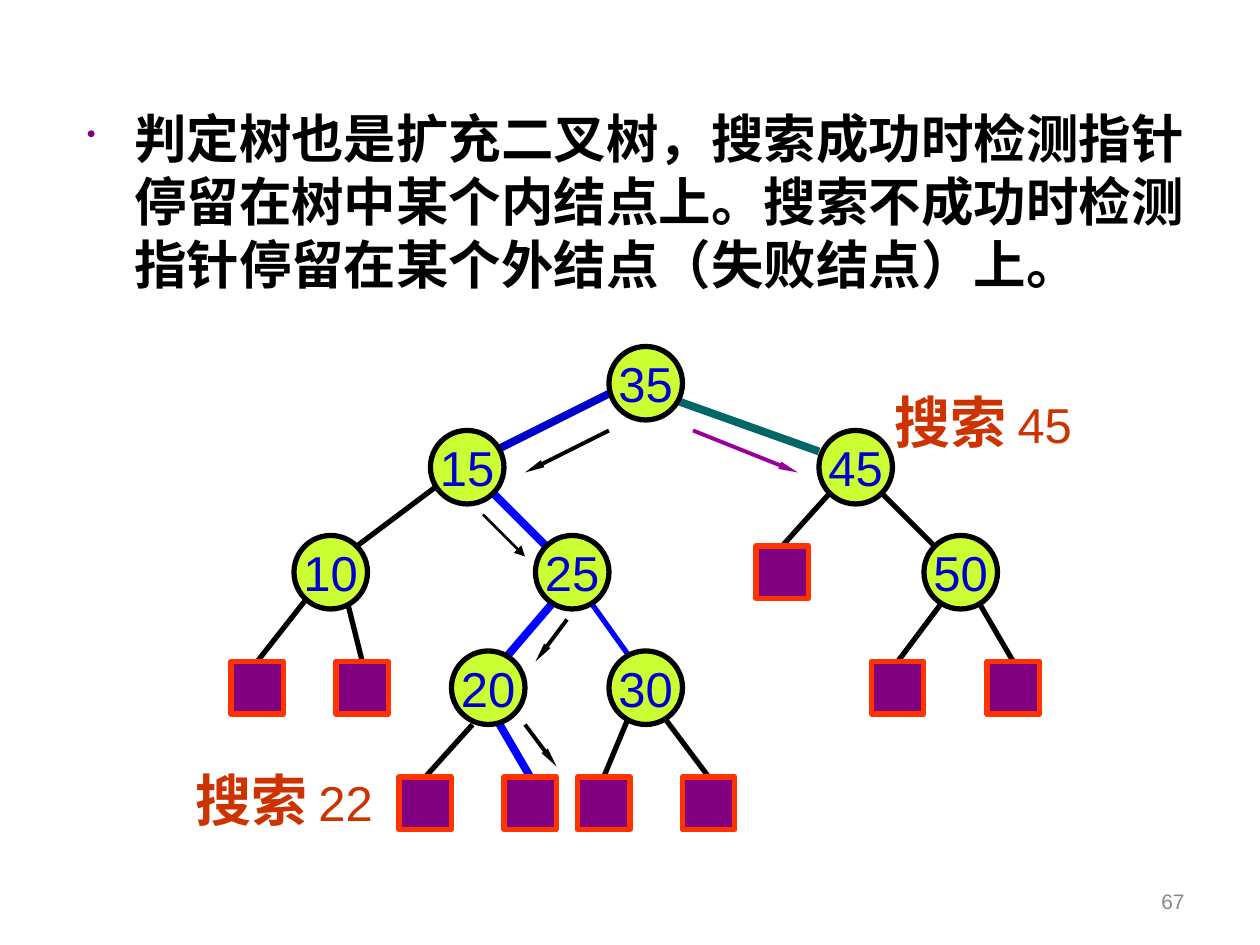
from lxml import etree
from pptx import Presentation
from pptx.dml.color import RGBColor
from pptx.enum.shapes import MSO_CONNECTOR, MSO_SHAPE
from pptx.enum.text import MSO_ANCHOR, MSO_AUTO_SIZE, PP_ALIGN
from pptx.oxml.ns import qn
from pptx.util import Pt

STRAIGHT = MSO_CONNECTOR.STRAIGHT
OVAL, RECTANGLE = MSO_SHAPE.OVAL, MSO_SHAPE.RECTANGLE
MIDDLE = MSO_ANCHOR.MIDDLE
GROW = MSO_AUTO_SIZE.SHAPE_TO_FIT_TEXT
CENTER, RIGHT = PP_ALIGN.CENTER, PP_ALIGN.RIGHT
TOP_SIDE = 0

COLORS = {
    "black": "000000", "gray": "898989", "purple": "800080", "lime": "CCFF33",
    "navy": "0000CC", "blue": "0000FF", "teal": "006666", "violet": "990099",
    "orange": "FF3300", "rust": "CC3300",
}

STATEMENT = ("判定树也是扩充二叉树，搜索成功时检测指针停留在树中某个内结点上。"
             "搜索不成功时检测指针停留在某个外结点（失败结点）上。")

INNER_EDGES = [
    ((384, 228), (468, 258), "teal", 4.5),
    ((504, 282), (534, 312), "black", 3),
    ((354, 222), (282, 258), "navy", 4.5),
    ((336, 342), (366, 384), "blue", 3),
    ((318, 342), (282, 384), "blue", 4.5),
    ((252, 276), (204, 312), "black", 3),
    ((276, 276), (312, 312), "blue", 4.5),
]

LEAF_EDGES = [
    ((180, 336), (132, 378), "black", 3),
    ((198, 342), (192, 378), "black", 3),
    ((270, 414), (228, 444), "black", 3),
    ((282, 408), (288, 444), "blue", 4.5),
    ((360, 408), (330, 444), "black", 3),
    ((378, 408), (390, 444), "black", 3),
    ((474, 282), (432, 312), "black", 3),
    ((540, 342), (498, 378), "black", 3),
    ((558, 342), (564, 378), "black", 3),
]

NODES = [
    ("35", 348, 198), ("15", 246, 246), ("45", 468, 246), ("50", 528, 306),
    ("25", 306, 306), ("10", 168, 306), ("20", 258, 372), ("30", 348, 372),
]

ARROWS = [
    ((348, 246), (300, 270), "black", 2.25, "sm", "lg"),
    ((276, 294), (300, 318), "black", 1.5, "med", "med"),
    ((324, 354), (306, 378), "black", 2.25, "sm", "lg"),
    ((300, 414), (318, 438), "black", 2.25, "sm", "lg"),
    ((396, 246), (456, 270), "violet", 2.25, "sm", "lg"),
]


def color(name):
    return RGBColor.from_string(COLORS[name])


def set_font(font, name, size, color_name, bold=False):
    font.name = name
    font.size = Pt(size)
    font.bold = bold
    font.color.rgb = color(color_name)


class TreeSlide:
    node_size = 42
    leaf_size = 30

    def __init__(self, slide):
        self.slide = slide
        self.shapes = slide.shapes

    def line(self, start, end, color_name, width):
        connector = self.shapes.add_connector(
            STRAIGHT, *(Pt(value) for value in (*start, *end)))
        connector.line.color.rgb = color(color_name)
        connector.line.width = Pt(width)
        etree.SubElement(connector._element.spPr, qn("a:effectLst"))
        return connector

    def arrow(self, start, end, color_name, width, head_width, head_length):
        connector = self.line(start, end, color_name, width)
        etree.SubElement(connector.line._get_or_add_ln(), qn("a:tailEnd"),
                         type="triangle", w=head_width, len=head_length)

    def block(self, kind, left, top, size, fill, outline):
        shape = self.shapes.add_shape(kind, Pt(left), Pt(top), Pt(size), Pt(size))
        shape.shadow.inherit = False
        shape.fill.solid()
        shape.fill.fore_color.rgb = color(fill)
        shape.line.color.rgb = color(outline)
        shape.line.width = Pt(3)
        return shape

    def node(self, key, left, top):
        shape = self.block(OVAL, left, top, self.node_size, "lime", "black")
        shape.text_frame.word_wrap = False
        shape.text_frame.vertical_anchor = MIDDLE
        paragraph = shape.text_frame.paragraphs[0]
        paragraph.text = key
        paragraph.alignment = CENTER
        set_font(paragraph.font, "Arial", 28, "navy")

    def leaf(self, edge, left, top):
        shape = self.block(RECTANGLE, left, top, self.leaf_size, "purple", "orange")
        edge.end_connect(shape, TOP_SIDE)

    def text_box(self, left, top, width, height, wrap=True):
        box = self.shapes.add_textbox(Pt(left), Pt(top), Pt(width), Pt(height))
        box.text_frame.word_wrap = wrap
        return box.text_frame

    def statement(self, text):
        paragraph = self.text_box(42.5, 57, 666, 125).paragraphs[0]
        paragraph.text = text
        properties = paragraph._p.get_or_add_pPr()
        properties.set("marL", str(Pt(27)))
        properties.set("indent", str(Pt(-27)))
        bullet_color = etree.SubElement(properties, qn("a:buClr"))
        etree.SubElement(bullet_color, qn("a:srgbClr"), val=COLORS["purple"])
        etree.SubElement(properties, qn("a:buSzPct"), val="50000")
        etree.SubElement(properties, qn("a:buChar"), char="•")
        set_font(paragraph.font, "Calibri", 30, "black", bold=True)

    def search_label(self, key, left, top):
        frame = self.text_box(left, top, 117.5, 46, wrap=False)
        frame.auto_size = GROW
        paragraph = frame.paragraphs[0]
        word, number = paragraph.add_run(), paragraph.add_run()
        word.text, number.text = "搜索", f" {key}"
        set_font(word.font, "Times New Roman", 32, "rust", bold=True)
        set_font(number.font, "Arial", 28, "rust")

    def page_number(self, number):
        frame = self.text_box(516, 500.5, 168, 29)
        frame.vertical_anchor = MIDDLE
        paragraph = frame.paragraphs[0]
        paragraph.text = number
        paragraph.alignment = RIGHT
        set_font(paragraph.font, "Arial", 12, "gray")


def main():
    presentation = Presentation()
    presentation.slide_width, presentation.slide_height = Pt(720), Pt(540)
    tree = TreeSlide(presentation.slides.add_slide(presentation.slide_layouts[6]))

    tree.statement(STATEMENT)
    tree.page_number("67")
    for edge in INNER_EDGES:
        tree.line(*edge)
    leaf_edges = [(tree.line(*edge), edge[1]) for edge in LEAF_EDGES]
    for node in NODES:
        tree.node(*node)
    for edge, corner in leaf_edges:
        tree.leaf(edge, *corner)
    for arrow in ARROWS:
        tree.arrow(*arrow)
    tree.search_label("22", 104.5, 434)
    tree.search_label("45", 504, 218)

    presentation.save("out.pptx")


if __name__ == "__main__":
    main()
